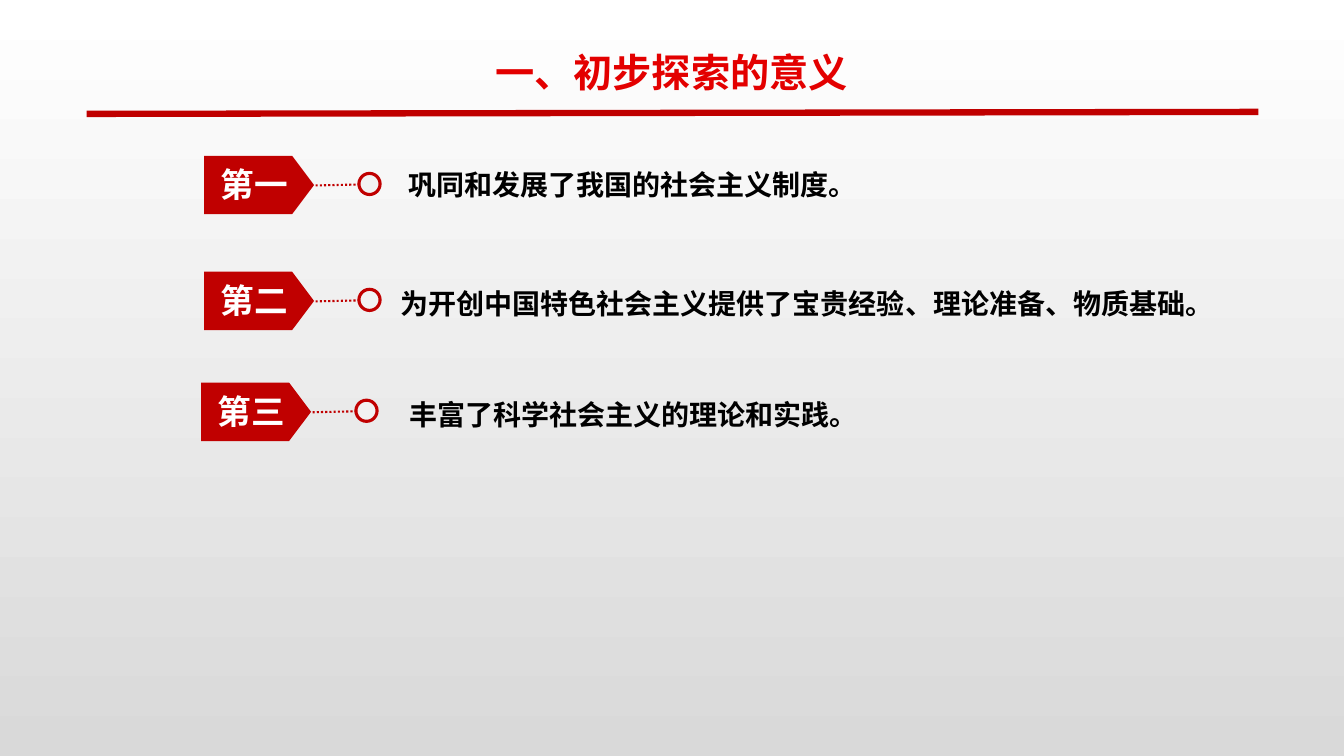
from lxml import etree
from pptx import Presentation
from pptx.dml.color import RGBColor
from pptx.enum.dml import MSO_LINE
from pptx.enum.shapes import MSO_CONNECTOR, MSO_SHAPE
from pptx.enum.text import MSO_AUTO_SIZE, PP_ALIGN
from pptx.oxml.ns import qn
from pptx.util import Inches, Pt

FONT = "Noto Sans CJK SC"
RED = RGBColor(0xC0, 0x00, 0x00)
TITLE_RED = RGBColor(0xE3, 0x00, 0x00)
WHITE = RGBColor(0xFF, 0xFF, 0xFF)
BLACK = RGBColor(0x00, 0x00, 0x00)
PALE = RGBColor(0xF2, 0xF2, 0xF2)
GREY = RGBColor(0xD9, 0xD9, 0xD9)

# Label, statement, marker left, marker centre, statement left, top and width
POINTS = [
    ("第一", "巩同和发展了我国的社会主义制度。", 2.03, 1.83, 3.95, 1.55, 5.31),
    ("第二", "为开创中国特色社会主义提供了宝贵经验、理论准备、物质基础。",
     2.03, 2.98, 3.87, 2.73, 8.77),
    ("第三", "丰富了科学社会主义的理论和实践。", 2.0, 4.08, 3.96, 3.83, 5.31),
]


def add_text(shapes, text, left, top, width, height, *, size, color,
             align=PP_ALIGN.LEFT, spacing=None, wrap=True):
    box = shapes.add_textbox(Inches(left), Inches(top), Inches(width), Inches(height))
    frame = box.text_frame
    frame.word_wrap = wrap
    frame.auto_size = MSO_AUTO_SIZE.SHAPE_TO_FIT_TEXT
    paragraph = frame.paragraphs[0]
    paragraph.alignment = align
    paragraph.line_spacing = spacing
    run = paragraph.add_run()
    run.text = text
    run.font.size = Pt(size)
    run.font.bold = True
    run.font.color.rgb = color
    run.font.name = FONT
    # East Asian typeface
    etree.SubElement(run.font._element, qn("a:ea"), typeface=FONT)


def add_line(shapes, start, end, weight, dash=None):
    line = shapes.add_connector(MSO_CONNECTOR.STRAIGHT, *map(Inches, start + end))
    line.line.color.rgb = RED
    line.line.width = Pt(weight)
    if dash is not None:
        line.line.dash_style = dash
    etree.SubElement(line._element.spPr, qn("a:effectLst"))


def add_shape(shapes, kind, left, top, width, height, fill, outline=None):
    shape = shapes.add_shape(kind, Inches(left), Inches(top), Inches(width), Inches(height))
    shape.shadow.inherit = False
    shape.fill.solid()
    shape.fill.fore_color.rgb = fill
    if outline is None:
        shape.line.fill.background()
    else:
        shape.line.color.rgb = RED
        shape.line.width = Pt(outline)
    return shape


def add_marker(slide, label, left, middle):
    shapes = slide.shapes.add_group_shape().shapes
    # Tag turned to point right
    tag = add_shape(shapes, MSO_SHAPE.FLOWCHART_OFFPAGE_CONNECTOR,
                    left + 0.25, middle - 0.54, 0.58, 1.09, RED)
    tag.rotation = 270
    # Dotted lead to the ring
    add_line(shapes, (left + 1.1, middle + 0.01), (left + 1.55, middle), 1.5,
             MSO_LINE.ROUND_DOT)
    add_text(shapes, label, left + 0.06, middle - 0.25, 0.87, 0.5,
             size=24, color=WHITE, wrap=False)
    add_shape(shapes, MSO_SHAPE.OVAL, left + 1.53, middle - 0.11, 0.21, 0.21, PALE, 2.25)


def set_background(slide):
    fill = slide.background.fill
    fill.gradient()
    fill.gradient_angle = 270
    for stop, color in zip(fill.gradient_stops, (WHITE, GREY)):
        stop.color.rgb = color


def main():
    presentation = Presentation()
    presentation.slide_width = Inches(13.33)
    presentation.slide_height = Inches(7.5)
    slide = presentation.slides.add_slide(presentation.slide_layouts[6])
    set_background(slide)

    # Title and rule
    add_text(slide.shapes, "一、初步探索的意义", 1.05, 0.2, 11.22, 0.81,
             size=28, color=TITLE_RED, align=PP_ALIGN.CENTER, spacing=1.5)
    add_line(slide.shapes, (0.86, 1.13), (12.48, 1.11), 4.5)

    # Numbered points
    for label, statement, marker_left, middle, left, top, width in POINTS:
        add_marker(slide, label, marker_left, middle)
        add_text(slide.shapes, statement, left, top, width, 0.5,
                 size=20, color=BLACK, align=PP_ALIGN.JUSTIFY, spacing=1.2)

    presentation.save("out.pptx")


if __name__ == "__main__":
    main()
